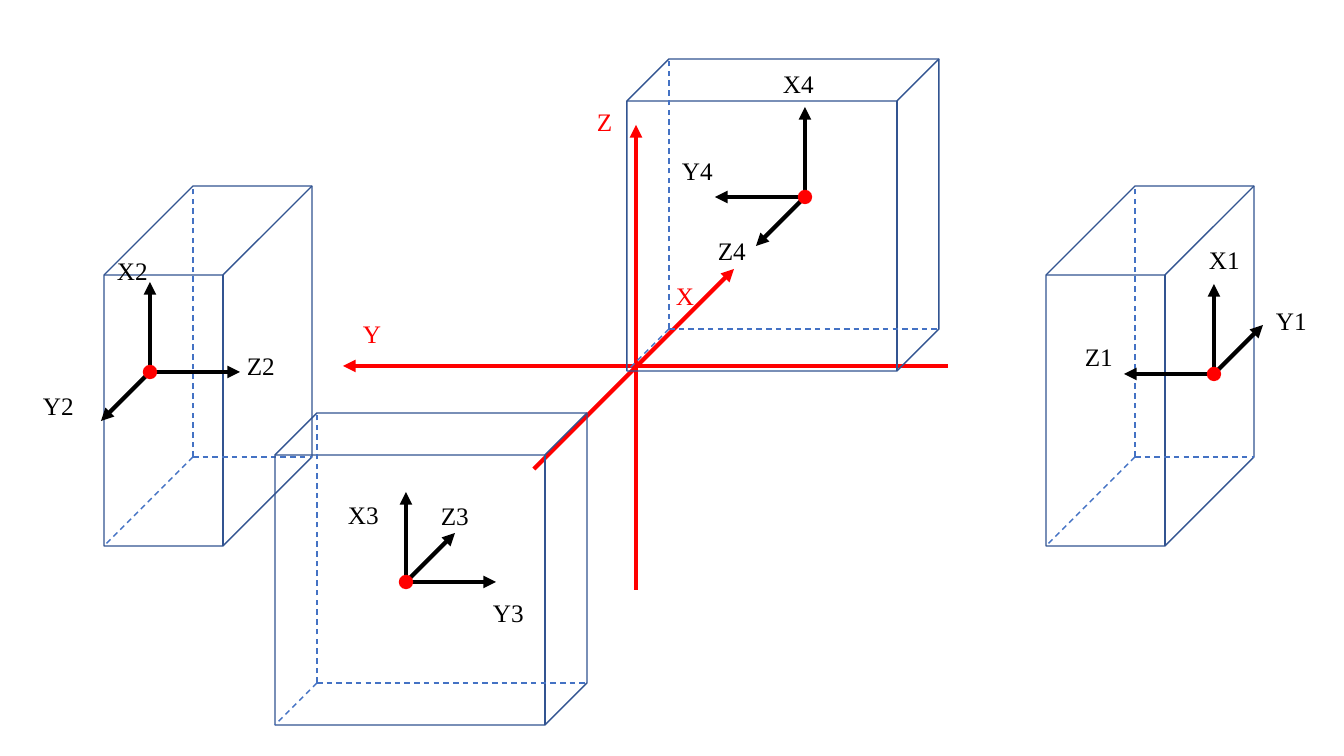
"""Draw a world coordinate frame surrounded by four boxes with local frames."""
from lxml.etree import SubElement
from pptx import Presentation
from pptx.dml.color import RGBColor
from pptx.enum.dml import MSO_LINE
from pptx.enum.shapes import MSO_CONNECTOR, MSO_SHAPE
from pptx.enum.text import MSO_AUTO_SIZE
from pptx.oxml.ns import qn
from pptx.util import Pt

COLORS = {"world": "FF0000", "local": "000000", "box": "325491", "hidden": "4472C4"}
SCALE = 914400 / 100.8
SLIDE_SIZE = (1344, 756)
FONT = {"name": "Times New Roman", "size": Pt(18)}
LABEL_HEIGHT = 40
LABEL_WIDTHS = {"X": 38, "Y": 38, "Z": 36, "numbered X": 51, "numbered Y": 51, "numbered Z": 48}
DOT_SIZE = 13
ARROW_LENGTH = 90
DIAGONAL_REACH = 49

WORLD_AXES = [((948, 366), (343, 366)), ((534, 469), (734, 269)), ((636, 590), (636, 125))]
WORLD_LABELS = {"X": (666, 275), "Y": (353, 313), "Z": (587, 101)}

WIDE_BOX = {"size": (312, 312), "depth": 42}
DEEP_BOX = {"size": (208, 360), "depth": 89}
STATIONS = [
    {"box": WIDE_BOX, "corner": (627, 59), "origin": (805, 197), "side": -1, "diagonal": (-1, 1),
     "labels": {"X4": (773, 63), "Z4": (708, 230), "Y4": (672, 150)}},
    {"box": DEEP_BOX, "corner": (1046, 186), "origin": (1214, 374), "side": -1, "diagonal": (1, -1),
     "labels": {"Z1": (1075, 336), "X1": (1199, 239), "Y1": (1266, 300)}},
    {"box": DEEP_BOX, "corner": (104, 186), "origin": (150, 372), "side": 1, "diagonal": (-1, 1),
     "labels": {"Z2": (237, 345), "X2": (107, 250), "Y2": (33, 385)}},
    {"box": WIDE_BOX, "corner": (275, 413), "origin": (406, 582), "side": 1, "diagonal": (1, -1),
     "labels": {"X3": (338, 494), "Z3": (431, 495), "Y3": (483, 592)}},
]


def emu(*lengths):
    return [round(length * SCALE) for length in lengths]


def rgb(name):
    return RGBColor.from_string(COLORS[name])


def add_line(slide, start, end, color, width, dash=None):
    connector = slide.shapes.add_connector(MSO_CONNECTOR.STRAIGHT, *emu(*start, *end))
    connector.line.color.rgb = rgb(color)
    connector.line.width = Pt(width)
    if dash:
        connector.line.dash_style = dash
    SubElement(connector._element.spPr, qn("a:effectLst"))
    return connector


def add_arrow(slide, start, end, color):
    connector = add_line(slide, start, end, color, 3)
    SubElement(connector.line._get_or_add_ln(), qn("a:tailEnd"), type="triangle")


def add_label(slide, text, position, color):
    width = LABEL_WIDTHS[text if len(text) == 1 else f"numbered {text[0]}"]
    frame = slide.shapes.add_textbox(*emu(*position, width, LABEL_HEIGHT)).text_frame
    frame.word_wrap = False
    frame.auto_size = MSO_AUTO_SIZE.SHAPE_TO_FIT_TEXT
    run = frame.paragraphs[0].add_run()
    run.text = text
    for attribute, value in FONT.items():
        setattr(run.font, attribute, value)
    run.font.color.rgb = rgb(color)


def add_outlined_shape(slide, kind, position, size, color):
    shape = slide.shapes.add_shape(kind, *emu(*position, *size))
    shape.shadow.inherit = False
    shape.line.color.rgb = rgb(color)
    shape.line.width = Pt(1)
    return shape


def add_box(slide, corner, size, depth):
    cube = add_outlined_shape(slide, MSO_SHAPE.CUBE, corner, size, "box")
    cube.fill.background()
    cube.adjustments[0] = depth / min(size)
    left, top = corner
    right, bottom = left + size[0], top + size[1]
    hidden_corner = (left + depth, bottom - depth)
    for end in [(left + depth, top), (right, bottom - depth), (left, bottom)]:
        add_line(slide, hidden_corner, end, "hidden", 1, MSO_LINE.DASH)


def add_local_frame(slide, origin, side, diagonal):
    x, y = origin
    tips = [
        (x, y - ARROW_LENGTH),
        (x + side * ARROW_LENGTH, y),
        (x + diagonal[0] * DIAGONAL_REACH, y + diagonal[1] * DIAGONAL_REACH),
    ]
    for tip in tips:
        add_arrow(slide, origin, tip, "local")
    position = (x - DOT_SIZE / 2, y - DOT_SIZE / 2)
    dot = add_outlined_shape(slide, MSO_SHAPE.OVAL, position, (DOT_SIZE, DOT_SIZE), "world")
    dot.fill.solid()
    dot.fill.fore_color.rgb = rgb("world")


def main():
    presentation = Presentation()
    presentation.slide_width, presentation.slide_height = emu(*SLIDE_SIZE)
    slide = presentation.slides.add_slide(presentation.slide_layouts[6])
    for start, end in WORLD_AXES:
        add_arrow(slide, start, end, "world")
    for text, position in WORLD_LABELS.items():
        add_label(slide, text, position, "world")
    for station in STATIONS:
        add_box(slide, station["corner"], **station["box"])
        add_local_frame(slide, station["origin"], station["side"], station["diagonal"])
        for text, position in station["labels"].items():
            add_label(slide, text, position, "local")
    presentation.save("out.pptx")


if __name__ == "__main__":
    main()
